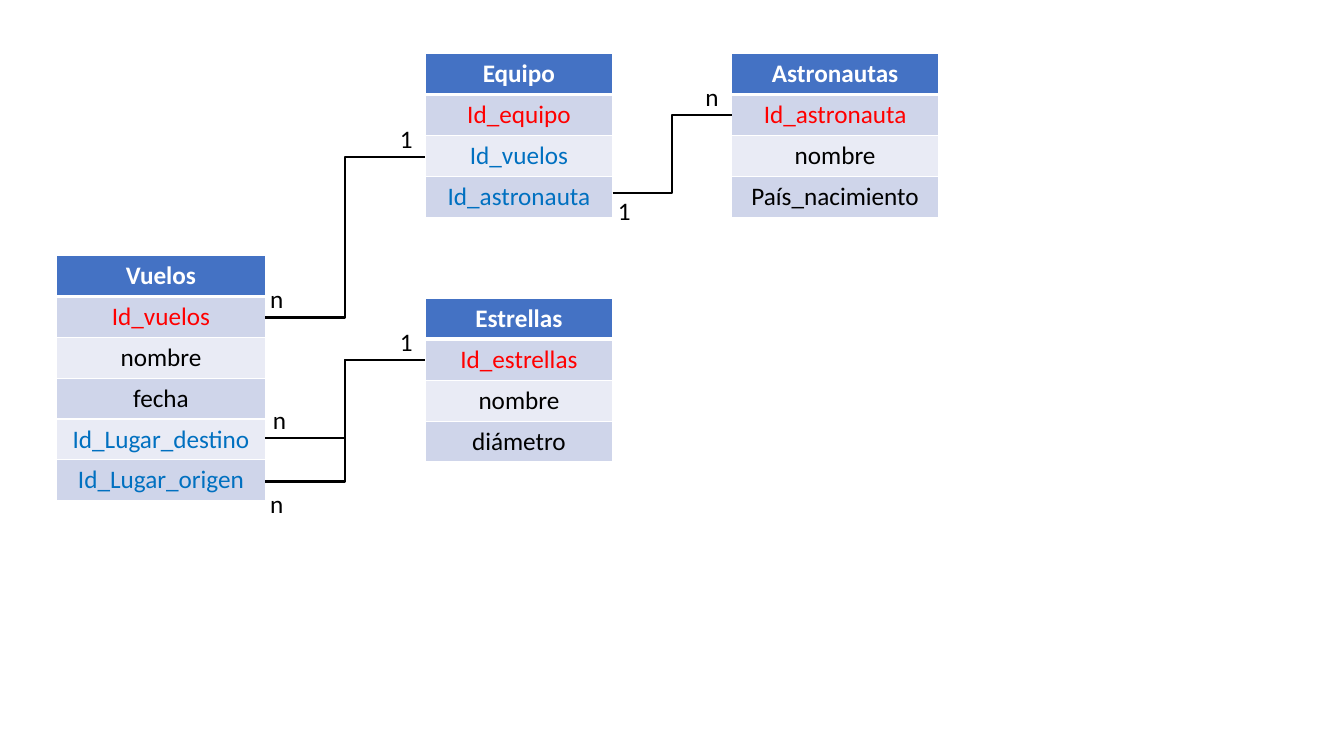
from pptx import Presentation, oxml
from pptx.dml.color import RGBColor
from pptx.enum import shapes as sh, text as tx
from pptx.oxml import ns
from pptx.util import Pt

WHITE = RGBColor(0xFF, 0xFF, 0xFF)
BLACK = RGBColor(0, 0, 0)
RED = RGBColor(0xFF, 0, 0)
BLUE = RGBColor(0, 0x70, 0xC0)
HEAD = RGBColor(0x44, 0x72, 0xC4)
BANDS = (RGBColor(0xE9, 0xEB, 0xF5), RGBColor(0xCF, 0xD5, 0xEA))
ROW = 29.2

# Entities: left, top, width, name, fields; the first field is the primary key
ENTITIES = {
    "Vuelos": (40.5, 182.5, 149, ["Id_vuelos", "nombre", "fecha",
                                  "Id_Lugar_destino", "Id_Lugar_origen"]),
    "Astronautas": (522.7, 38.3, 147.6, ["Id_astronauta", "nombre",
                                         "País_nacimiento"]),
    "Estrellas": (303.8, 213.2, 133.8, ["Id_estrellas", "nombre", "diámetro"]),
    "Equipo": (303.8, 38.3, 133.8, ["Id_equipo", "Id_vuelos",
                                    "Id_astronauta"]),
}

# Relations: source entity, its exit height, target entity, its entry height
RELATIONS = [
    ("Vuelos", 226.8, "Equipo", 112.3),
    ("Vuelos", 313.2, "Estrellas", 257),
    ("Vuelos", 344, "Estrellas", 257),
    ("Equipo", 138.2, "Astronautas", 82.1),
]

# Cardinalities: text, left, top
COUNTS = [
    ("n", 496.8, 54.7), ("n", 185.8, 198.7), ("1", 434.2, 136),
    ("1", 278.6, 84.2), ("1", 278.6, 229.7), ("n", 187.9, 285.1),
    ("n", 185.8, 344.9),
]


def write(frame, words, color=BLACK, bold=False, align=tx.PP_ALIGN.LEFT):
    par = frame.paragraphs[0]
    par.alignment = align
    run = par.add_run()
    run.text = words
    font = run.font
    font.name, font.size, font.bold = "Calibri", Pt(18), bold
    font.color.rgb = color


def border(cell, row):
    """White cell edges, thick between the header and the first field."""
    props = cell._tc.get_or_add_tcPr()
    for side in "LRTB":
        thick = (row, side) in ((0, "B"), (1, "T"))
        props.append(oxml.parse_xml(
            f'<a:ln{side} {ns.nsdecls("a")} w="{Pt(3 if thick else 1)}">'
            f'<a:solidFill><a:srgbClr val="{WHITE}"/></a:solidFill>'
            f'</a:ln{side}>'))


def shade(row, field):
    if row == 0:
        return WHITE
    if row == 1:
        return RED
    return BLUE if field.startswith("Id_") else BLACK


prs = Presentation()
prs.slide_width, prs.slide_height = Pt(960), Pt(540)
slide = prs.slides.add_slide(prs.slide_layouts[6])

# Entity tables
for name, (left, top, width, fields) in ENTITIES.items():
    lines = [name] + fields
    table = slide.shapes.add_table(len(lines), 1, Pt(left), Pt(top), Pt(width),
                                   Pt(ROW * len(lines))).table
    for row, field in enumerate(lines):
        table.rows[row].height = Pt(ROW)
        cell = table.cell(row, 0)
        border(cell, row)
        cell.fill.solid()
        cell.fill.fore_color.rgb = BANDS[row % 2] if row else HEAD
        write(cell.text_frame, field, color=shade(row, field), bold=row == 0,
              align=tx.PP_ALIGN.CENTER)

# Elbow connectors from right edge to left edge
for start, y1, end, y2 in RELATIONS:
    x1 = ENTITIES[start][0] + ENTITIES[start][2]
    x2 = ENTITIES[end][0]
    link = slide.shapes.add_connector(sh.MSO_CONNECTOR.ELBOW, Pt(x1), Pt(y1),
                                      Pt(x2), Pt(y2))
    link.line.color.rgb = BLACK
    link.line.width = Pt(1.5)
    link._element.spPr.append(
        oxml.parse_xml(f'<a:effectLst {ns.nsdecls("a")}/>'))

# Cardinality labels
for words, left, top in COUNTS:
    frame = slide.shapes.add_textbox(Pt(left), Pt(top), Pt(29), Pt(29)).text_frame
    frame.word_wrap = True
    frame.auto_size = tx.MSO_AUTO_SIZE.SHAPE_TO_FIT_TEXT
    write(frame, words)

prs.save("out.pptx")
